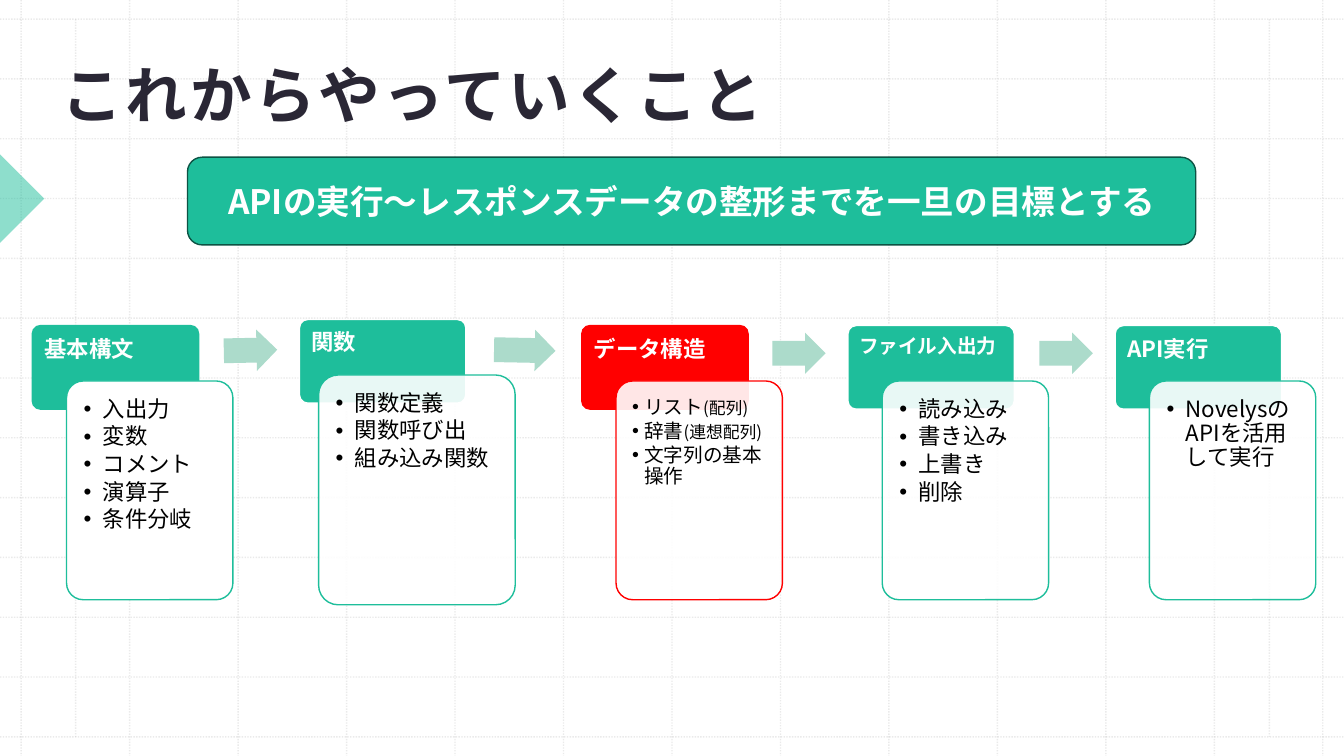
from lxml.etree import SubElement
from pptx import Presentation
from pptx.dml.color import RGBColor as RGB
from pptx.enum.dml import MSO_LINE
from pptx.enum.shapes import MSO_CONNECTOR, MSO_SHAPE as SHAPE
from pptx.enum.text import MSO_ANCHOR as ANCHOR, MSO_AUTO_SIZE as FIT, PP_ALIGN as ALIGN
from pptx.oxml.ns import qn
from pptx.util import Inches, Pt

W, H = 13.33, 7.5
FONT = "Noto Sans CJK JP"
COLORS = {
    "green": "1EBE9B", "edge": "0D5344", "arrow": "ACDBCB", "red": "FF0000",
    "white": "FFFFFF", "black": "000000", "title": "2A2735", "grid": "BCBCBC",
}
HEAD_W, HEAD_H, LABEL_H = 1.65, 0.83, 0.55
BODY_DX, BODY_DY, BODY_H = 0.34, 0.55, 2.17
PAD = 0.05
STEPS = [
    dict(at=(0.32, 3.23), head="基本構文", opacity=100, outline="green",
         items=["入出力", "変数", "コメント", "演算子", "条件分岐"]),
    dict(at=(2.97, 3.17), head="関数", body_dx=0.19, body_w=1.95, body_h=2.28,
         items=["関数定義", "関数呼び出", "組み込み関数"]),
    dict(at=(5.77, 3.23), head="データ構造", color="red", outline="red",
         size=14, indent=0.12, inset=0.11,
         items=[[("リスト", 14), ("(配列)", 12)],
                [("辞書", 14), ("(連想配列)", 12)], "文字列の基本操作"]),
    dict(at=(8.41, 3.23), head="ファイル入出力", head_size=14, head_inset=0.11,
         items=["読み込み", "書き込み", "上書き", "削除"]),
    dict(at=(11.06, 3.23), head="API実行", items=["NovelysのAPIを活用して実行"]),
]
ARROWS = [(2.22, 3.27, 0.53, 358.8), (4.9, 3.27, 0.61, 1.1),
          (7.66, 3.3, 0.53, 0), (10.31, 3.3, 0.53, 0)]


def rgb(name):
    return RGB.from_string(COLORS[name])


def set_alpha(color_parent, percent):
    clr = next(color_parent.iter(qn("a:srgbClr")))
    SubElement(clr, qn("a:alpha")).set("val", str(percent * 1000))


def add_box(s, kind, box, fill, line=None, alpha=100, adj=(), rotation=0):
    sp = s.shapes.add_shape(kind, *map(Inches, box))
    sp.shadow.inherit = False
    sp.rotation = rotation
    sp.fill.solid()
    sp.fill.fore_color.rgb = rgb(fill)
    if alpha < 100:
        set_alpha(sp.element.spPr, alpha)
    if line:
        sp.line.color.rgb = rgb(line)
        sp.line.width = Pt(1)
    else:
        sp.line.fill.background()
    for i, value in enumerate(adj):
        sp.adjustments[i] = value
    return sp


def write(sp, paragraphs, size=16, color="black", bold=False, align=ALIGN.LEFT,
          anchor=ANCHOR.TOP, insets=(0.12, 0.12, 0.12, 0.12), leading=None,
          after=0, indent=None, spacing=None):
    tf = sp.text_frame
    tf.word_wrap = True
    tf.auto_size = FIT.NONE
    tf.vertical_anchor = anchor
    tf.margin_left, tf.margin_top, tf.margin_right, tf.margin_bottom = map(Inches, insets)
    for i, runs in enumerate(paragraphs):
        p = tf.add_paragraph() if i else tf.paragraphs[0]
        p.alignment = align
        p.line_spacing = leading
        p.space_after = Pt(after)
        if indent:
            pPr = p._p.get_or_add_pPr()
            pPr.set("marL", str(Inches(indent)))
            pPr.set("indent", str(-Inches(indent)))
            SubElement(pPr, qn("a:buFont")).set("typeface", "Arial")
            SubElement(pPr, qn("a:buChar")).set("char", "•")
        for text, run_size in [(runs, size)] if isinstance(runs, str) else runs:
            r = p.add_run()
            r.text = text
            r.font.size = Pt(run_size)
            r.font.bold = bold
            r.font.color.rgb = rgb(color)
            r.font.name = FONT
            rPr = r._r.get_or_add_rPr()
            SubElement(rPr, qn("a:ea")).set("typeface", FONT)
            if spacing:
                rPr.set("spc", str(round(spacing * 100)))


def add_grid_line(s, x1, y1, x2, y2):
    line = s.shapes.add_connector(MSO_CONNECTOR.STRAIGHT, *map(Inches, (x1, y1, x2, y2)))
    line.line.color.rgb = rgb("grid")
    line.line.width = Pt(1)
    line.line.dash_style = MSO_LINE.ROUND_DOT
    spPr = line.element.spPr
    set_alpha(spPr, 30)
    SubElement(spPr, qn("a:effectLst"))


def draw_background(s):
    left, top, count = 0.21, 0.19, 12
    for i in range(count + 1):
        x = left + i * (W - 2 * left) / count
        y = top + i * (H - 2 * top) / count
        add_grid_line(s, x, 0, x, H)
        add_grid_line(s, 0, y, W, y)
    for x in (0.75, 12.59):
        add_grid_line(s, x, top, x, H - top)
    add_box(s, SHAPE.RIGHT_TRIANGLE, (-0.31, 1.66, 0.62, 0.62), "green",
            alpha=50, rotation=225)


def draw_title(s, box):
    title = s.shapes.title
    title.element.getparent().append(title.element)
    title.left, title.top, title.width, title.height = map(Inches, box)
    write(title, ["これからやっていくこと"], size=44, color="title", bold=True,
          anchor=ANCHOR.BOTTOM, insets=(0.12, 0.12, 0.12, 0.1), leading=1.13, spacing=1.9)


def draw_goal(s, box):
    sp = add_box(s, SHAPE.ROUNDED_RECTANGLE, box, "green", "edge")
    write(sp, ["APIの実行～レスポンスデータの整形までを一旦の目標とする"], size=24,
          color="white", bold=True, align=ALIGN.CENTER, anchor=ANCHOR.MIDDLE,
          insets=(0.1, 0.05, 0.1, 0.05))


def draw_step(s, at, head, items, color="green", outline="white", opacity=90,
              head_size=16, head_inset=0.12, size=16, indent=0.19, inset=0.12,
              body_dx=BODY_DX, body_w=HEAD_W, body_h=BODY_H):
    x, y = at
    add_box(s, SHAPE.ROUNDED_RECTANGLE, (x, y, HEAD_W, HEAD_H), color, outline, adj=[0.1])
    label = s.shapes.add_textbox(*map(Inches, (x, y, HEAD_W, LABEL_H)))
    write(label, [head], size=head_size, color="white", bold=True, leading=0.9,
          insets=(head_inset, head_inset, head_inset, head_inset - 0.05))
    bx, by = x + body_dx, y + BODY_DY
    add_box(s, SHAPE.ROUNDED_RECTANGLE, (bx, by, body_w, body_h), "white", color,
            alpha=opacity, adj=[0.1])
    body = s.shapes.add_textbox(
        *map(Inches, (bx + PAD, by + PAD, body_w - 2 * PAD, body_h - 2 * PAD)))
    write(body, items, size=size, leading=0.9, after=size * 0.15, indent=indent,
          insets=[inset] * 4)


def draw_arrow(s, x, y, width, rotation):
    add_box(s, SHAPE.RIGHT_ARROW, (x, y, width, 0.41), "arrow", adj=[0.6, 0.5],
            rotation=rotation)


def main():
    prs = Presentation()
    prs.slide_width, prs.slide_height = Inches(W), Inches(H)
    s = prs.slides.add_slide(prs.slide_layouts[5])
    draw_background(s)
    draw_title(s, (0.49, 0.47, 11.29, 0.93))
    draw_goal(s, (1.86, 1.56, 10, 0.87))
    for step in STEPS:
        draw_step(s, **step)
    for arrow in ARROWS:
        draw_arrow(s, *arrow)
    prs.save("out.pptx")


if __name__ == "__main__":
    main()
